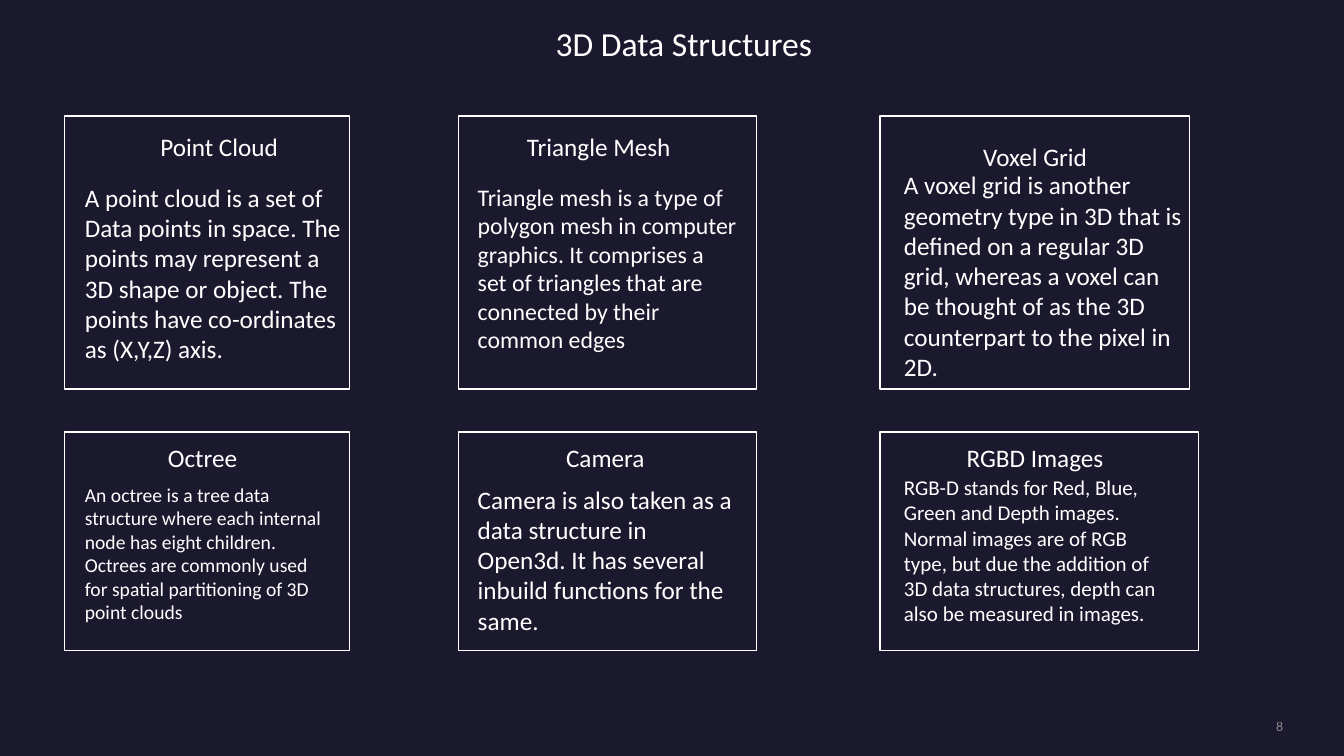
from dataclasses import dataclass

import pptx
import pptx.dml.color
import pptx.enum.shapes
import pptx.enum.text
import pptx.oxml
import pptx.oxml.ns
import pptx.slide
import pptx.text.text
import pptx.util

Cm = pptx.util.Cm
PP_ALIGN = pptx.enum.text.PP_ALIGN
ANCHOR = pptx.enum.text.MSO_ANCHOR

FONT = "Calibri"
NAVY = "1B192E"
WHITE = "FFFFFF"
GREY = "A6A6A6"
HEADING_HEIGHT = 1.02


@dataclass(frozen=True)
class Box:
    """Left, top, width and height in centimetres."""
    left: float
    top: float
    width: float
    height: float

    def lengths(self) -> tuple:
        return Cm(self.left), Cm(self.top), Cm(self.width), Cm(self.height)


@dataclass(frozen=True)
class Column:
    frame_left: float
    body_left: float


@dataclass(frozen=True)
class Row:
    top: float
    height: float


@dataclass(frozen=True)
class Card:
    column: Column
    row: Row
    frame_width: float
    heading: str
    heading_box: Box
    body: str
    body_top: float
    body_width: float
    body_height: float
    body_size: int


LEFT = Column(1.63, 1.89)
MIDDLE = Column(11.56, 11.79)
RIGHT = Column(22.18, 22.53)
UPPER = Row(2.92, 6.88)
LOWER = Row(10.89, 5.51)

CARDS = [
    Card(LEFT, UPPER, 7.18, "Point Cloud", Box(1.93, 3.19, 7.19, HEADING_HEIGHT),
         "A point cloud is a set of Data points in space. The points may represent "
         "a 3D shape or object. The points have co-ordinates as (X,Y,Z) axis.",
         4.47, 7.05, 4.88, 18),
    Card(MIDDLE, UPPER, 7.51, "Triangle Mesh", Box(11.56, 3.19, 7.06, HEADING_HEIGHT),
         "Triangle mesh is a type of polygon mesh in computer graphics. It comprises "
         "a set of triangles that are connected by their common edges",
         4.47, 7.06, 4.62, 17),
    Card(RIGHT, UPPER, 7.8, "Voxel Grid", Box(22.53, 3.44, 7.11, HEADING_HEIGHT),
         "A voxel grid is another geometry type in 3D that is defined on a regular 3D "
         "grid, whereas a voxel can be thought of as the 3D counterpart to the pixel in 2D.",
         4.15, 7.6, 5.64, 18),
    Card(LEFT, LOWER, 7.18, "Octree", Box(1.93, 11.02, 6.35, HEADING_HEIGHT),
         "An octree is a tree data structure where each internal node has eight children. "
         "Octrees are commonly used for spatial partitioning of 3D point clouds",
         12.04, 6.58, 3.84, 14),
    Card(MIDDLE, LOWER, 7.51, "Camera", Box(11.89, 11.02, 6.73, HEADING_HEIGHT),
         "Camera is also taken as a data structure in Open3d. It has several inbuild "
         "functions for the same.",
         12.07, 7.06, 4.11, 18),
    Card(RIGHT, LOWER, 8.03, "RGBD Images", Box(22.53, 11.02, 7.11, HEADING_HEIGHT),
         "RGB-D stands for Red, Blue, Green and Depth images. Normal images are of RGB "
         "type, but due the addition of 3D data structures, depth can also be measured "
         "in images.",
         11.84, 7.11, 4.11, 15),
]


def rgb(value: str) -> pptx.dml.color.RGBColor:
    return pptx.dml.color.RGBColor.from_string(value)


def write(frame: pptx.text.text.TextFrame, text: str, size: int,
          align: PP_ALIGN = PP_ALIGN.LEFT, color: str = WHITE,
          anchor: ANCHOR = ANCHOR.TOP) -> pptx.text.text._Run:
    frame.word_wrap = True
    frame.auto_size = pptx.enum.text.MSO_AUTO_SIZE.NONE
    frame.vertical_anchor = anchor
    paragraph = frame.paragraphs[0]
    paragraph.alignment = align
    run = paragraph.add_run()
    run.text = text
    run.font.name = FONT
    run.font.size = pptx.util.Pt(size)
    run.font.color.rgb = rgb(color)
    return run


def add_title(slide: pptx.slide.Slide, text: str, box: Box) -> None:
    title = slide.shapes.title
    title.left, title.top, title.width, title.height = box.lengths()
    write(title.text_frame, text, 24, PP_ALIGN.CENTER)


def add_card(slide: pptx.slide.Slide, card: Card) -> None:
    outline = Box(card.column.frame_left, card.row.top, card.frame_width, card.row.height)
    frame = slide.shapes.add_shape(
        pptx.enum.shapes.MSO_SHAPE.RECTANGLE, *outline.lengths())
    frame.shadow.inherit = False
    frame.fill.background()
    frame.line.color.rgb = rgb(WHITE)
    frame.line.width = pptx.util.Pt(1)

    heading = slide.shapes.add_textbox(*card.heading_box.lengths())
    write(heading.text_frame, card.heading, 18, PP_ALIGN.CENTER)

    body_box = Box(card.column.body_left, card.body_top, card.body_width, card.body_height)
    body = slide.shapes.add_textbox(*body_box.lengths())
    write(body.text_frame, card.body, card.body_size)


def add_page_number(slide: pptx.slide.Slide, number: str, box: Box) -> None:
    frame = slide.shapes.add_textbox(*box.lengths()).text_frame
    frame.margin_left = frame.margin_right = frame.margin_top = frame.margin_bottom = 0
    run = write(frame, number, 10, PP_ALIGN.RIGHT, GREY, ANCHOR.MIDDLE)
    color = run.font._element.find(".//" + pptx.oxml.ns.qn("a:srgbClr"))
    color.append(pptx.oxml.parse_xml(
        f'<a:alpha {pptx.oxml.ns.nsdecls("a")} val="80000"/>'))


def main() -> None:
    deck = pptx.Presentation()
    deck.slide_width, deck.slide_height = Cm(33.87), Cm(19.05)
    slide = deck.slides.add_slide(deck.slide_layouts.get_by_name("Title Only"))
    slide.background.fill.solid()
    slide.background.fill.fore_color.rgb = rgb(NAVY)

    add_title(slide, "3D Data Structures", Box(1.88, 0.44, 30.71, 1.27))
    for card in CARDS:
        add_card(slide, card)
    add_page_number(slide, "8", Box(27.64, 18.08, 4.7, 0.43))
    deck.save("out.pptx")


if __name__ == "__main__":
    main()
